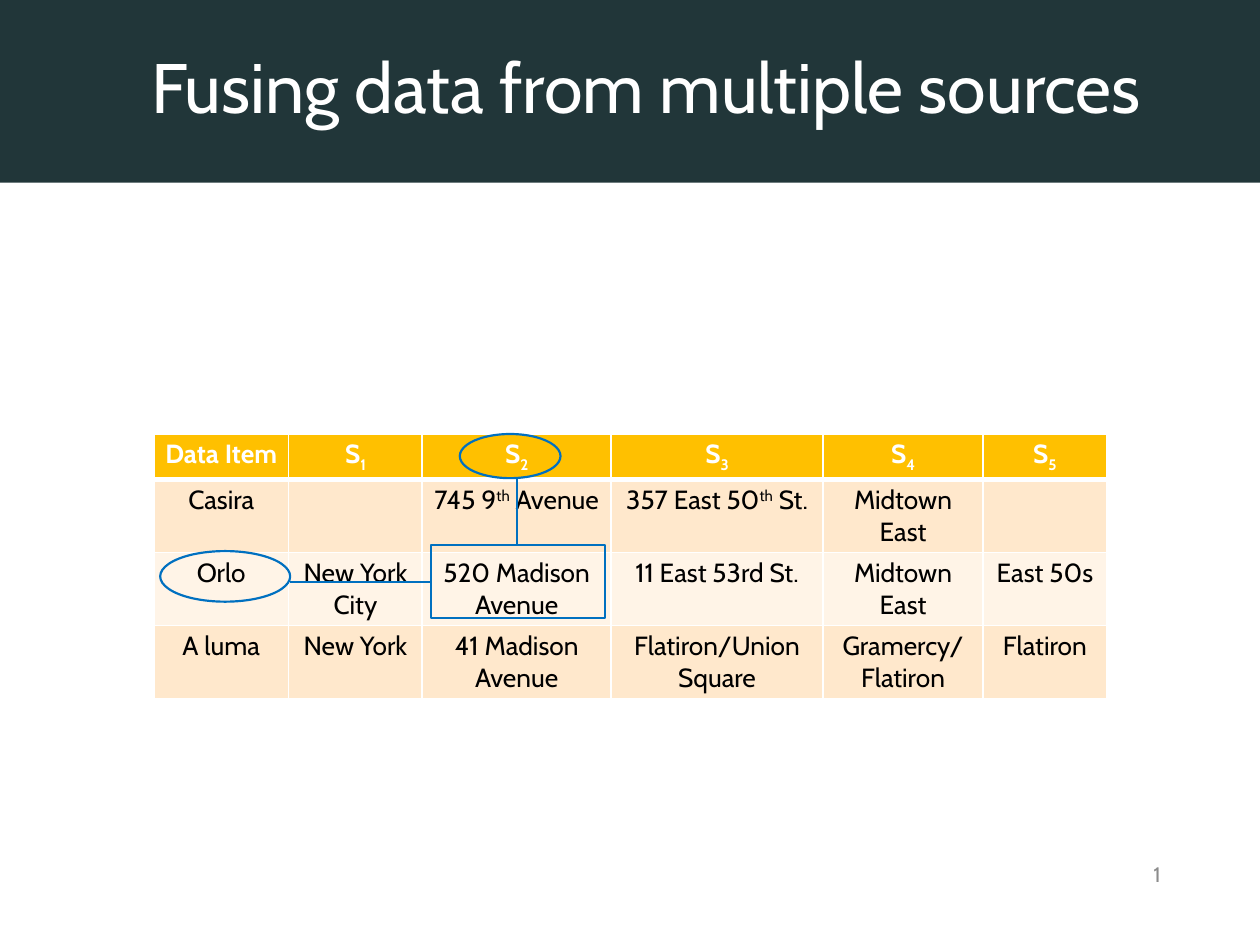
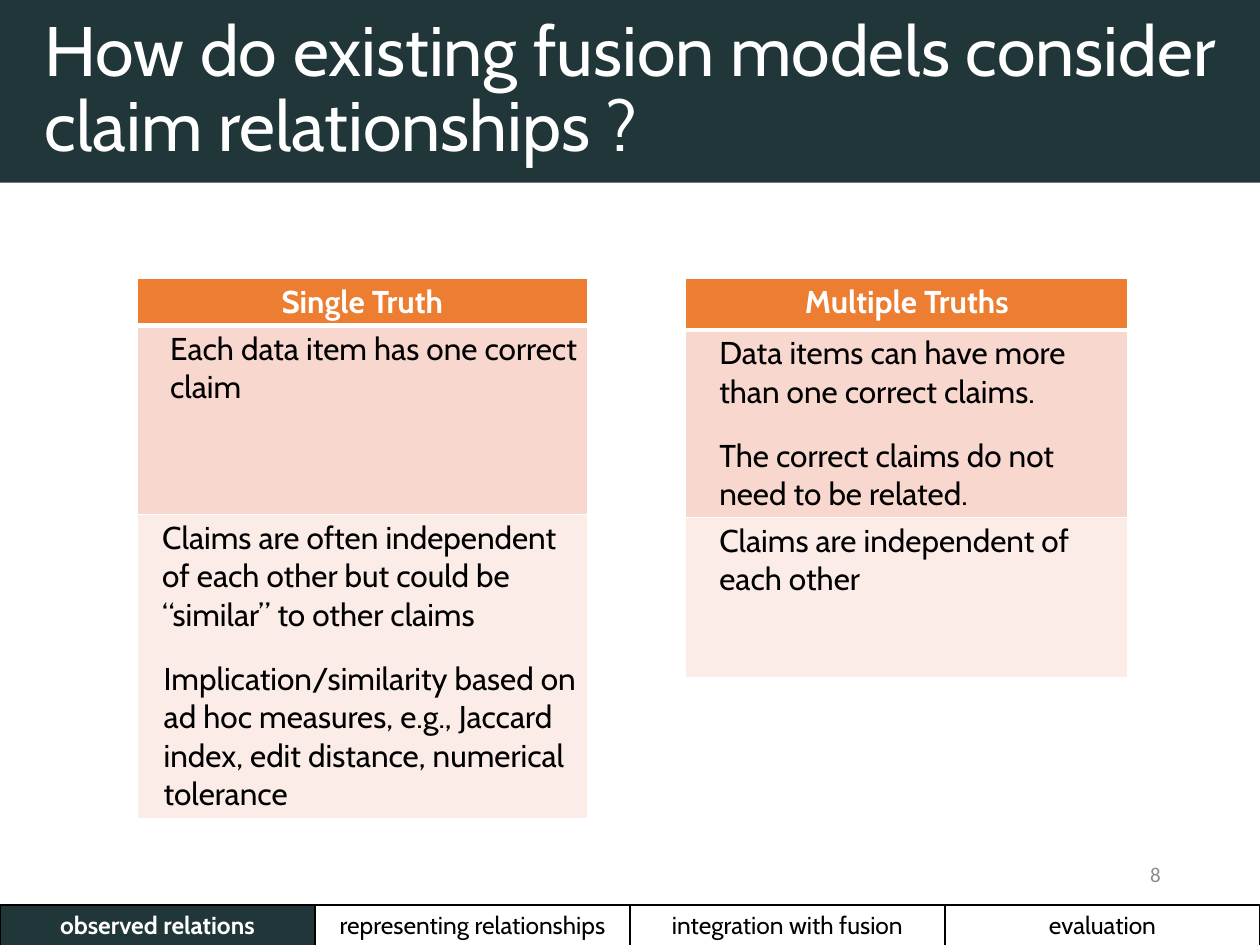
from dataclasses import dataclass

from lxml import etree
from pptx import Presentation
from pptx.dml.color import RGBColor
from pptx.enum import shapes, text
from pptx.oxml import ns
from pptx.util import Cm, Pt


@dataclass(frozen=True)
class Theme:
    font: str = "Cabin"
    plain_font: str = "Calibri"
    title_size: float = 40
    sources_size: float = 15
    models_size: float = 18
    footer_size: float = 14
    number_size: float = 12
    dark: str = "213639"
    white: str = "FFFFFF"
    black: str = "000000"
    grey: str = "8C8C8C"
    blue: str = "0070C0"
    gold: str = "FFC000"
    gold_bands: tuple = ("FFE8CC", "FFF4E7")
    orange: str = "ED7D31"
    orange_bands: tuple = ("F8D7CE", "FCECE8")


@dataclass(frozen=True)
class Box:
    left: float
    top: float
    width: float
    height: float

    def lengths(self):
        return Cm(self.left), Cm(self.top), Cm(self.width), Cm(self.height)

    def shifted(self, left, top):
        return Box(self.left + left, self.top + top, self.width, self.height)


@dataclass(frozen=True)
class Style:
    size: float
    color: str
    bold: bool = False
    font: str = "Cabin"
    align: text.PP_ALIGN = text.PP_ALIGN.CENTER


@dataclass(frozen=True)
class Passage:
    """A paragraph whose runs are strings or (string, baseline percent) pairs."""
    runs: tuple
    indent: float = 0
    before: float = 0


THEME = Theme()
LEFT, CENTER, RIGHT = text.PP_ALIGN.LEFT, text.PP_ALIGN.CENTER, text.PP_ALIGN.RIGHT
SLIDE = Box(0, 0, 25.4, 19.05)
TITLE = Box(0, 0, SLIDE.width, 3.68)
NUMBER = Box(17.93, 17.12, 5.72, 1.02)
FOOTER = Box(0, 18.24, SLIDE.width, 0.83)
PARAGRAPH_GAP = 14.6
SECTIONS = ("observed relations", "representing relationships",
            "integration with fusion", "evaluation")

SUBSCRIPT, SUPERSCRIPT = -25, 30
SOURCES_COLUMNS = (2.72, 2.69, 3.81, 4.27, 3.23, 2.49)
SOURCES_ROWS = (0.92, 1.47, 1.47, 1.47)
SOURCES = [
    ["Data Item"] + [Passage(("S", (str(n), SUBSCRIPT))) for n in range(1, 6)],
    ["Casira", "", Passage(("745 9", ("th", SUPERSCRIPT), " Avenue")),
     Passage(("357 East 50", ("th", SUPERSCRIPT), " St.")), "Midtown East", ""],
    ["Orlo", "New York City", "520 Madison Avenue", "11 East 53rd St.",
     "Midtown East", "East 50s"],
    ["A luma", "New York", "41 Madison Avenue", "Flatiron/Union Square",
     ["Gramercy/", "Flatiron"], "Flatiron"],
]
SINGLE_TRUTH = [
    ["Single Truth"],
    [Passage(("Each data item has one correct claim",), 0.48)],
    [[Passage(("Claims are often independent of each other but could be "
               "“similar” to other claims",), 0.32),
      Passage(("Implication/similarity based on ad hoc measures, e.g., Jaccard "
               "index, edit distance, numerical tolerance",), 0.35, PARAGRAPH_GAP)]],
]
MULTIPLE_TRUTHS = [
    ["Multiple Truths"],
    [[Passage(("Data items can have more than one correct claims.",), 0.5),
      Passage(("The correct claims do not need to be related.",), 0.5, PARAGRAPH_GAP)]],
    [Passage(("Claims are independent of each other",), 0.5)],
]


def rgb(color):
    return RGBColor.from_string(color)


def write(frame, content, style):
    """Fill a text frame from a string, a Passage or a list of these."""
    passages = content if isinstance(content, list) else [content]
    for index, passage in enumerate(passages):
        if isinstance(passage, str):
            passage = Passage((passage,) if passage else ())
        paragraph = frame.add_paragraph() if index else frame.paragraphs[0]
        paragraph.alignment = style.align
        if passage.before:
            paragraph.space_before = Pt(passage.before)
        if passage.indent:
            properties = paragraph._p.get_or_add_pPr()
            properties.set("marL", str(Cm(passage.indent)))
            properties.set("indent", "0")
        for part in passage.runs:
            words, baseline = part if isinstance(part, tuple) else (part, 0)
            run = paragraph.add_run()
            run.text = words
            run.font.name = style.font
            run.font.size = Pt(style.size)
            run.font.bold = style.bold
            run.font.color.rgb = rgb(style.color)
            if baseline:
                run.font._element.set("baseline", str(baseline * 1000))


def set_border(cell, side, color, width):
    line = etree.SubElement(cell._tc.get_or_add_tcPr(), ns.qn("a:ln" + side), w=str(Pt(width)))
    fill = etree.SubElement(line, ns.qn("a:solidFill"))
    etree.SubElement(fill, ns.qn("a:srgbClr"), val=color)


def fill_cell(cell, content, style, fill, border, top=1, bottom=1):
    for side, width in (("L", 1), ("R", 1), ("T", top), ("B", bottom)):
        set_border(cell, side, border, width)
    cell.fill.solid()
    cell.fill.fore_color.rgb = rgb(fill)
    write(cell.text_frame, content, style)


def add_grid(slide, left, top, columns, rows):
    box = Box(left, top, sum(columns), sum(rows))
    table = slide.shapes.add_table(len(rows), len(columns), *box.lengths()).table
    table.first_row = table.horz_banding = False
    for column, width in zip(table.columns, columns):
        column.width = Cm(width)
    for row, height in zip(table.rows, rows):
        row.height = Cm(height)
    return table


def add_banded_table(slide, left, top, columns, rows, content, size, head, bands, align):
    """Add a table with a bold header above rows in alternating tints."""
    table = add_grid(slide, left, top, columns, rows)
    header = Style(size, THEME.white, bold=True)
    body = Style(size, THEME.black, align=align)
    for r, values in enumerate(content):
        for c, value in enumerate(values):
            cell = table.cell(r, c)
            cell.margin_left = cell.margin_right = Cm(0.18)
            cell.margin_top = cell.margin_bottom = Cm(0.09)
            fill_cell(cell, value, body if r else header,
                      bands[(r - 1) % 2] if r else head, THEME.white,
                      top=3 if r == 1 else 1, bottom=1 if r else 3)


def add_title(slide, words, align):
    shape = slide.shapes.title
    shape.left, shape.top, shape.width, shape.height = TITLE.lengths()
    shape.fill.solid()
    shape.fill.fore_color.rgb = rgb(THEME.dark)
    frame = shape.text_frame
    frame.word_wrap = True
    frame.auto_size = text.MSO_AUTO_SIZE.NONE
    frame.vertical_anchor = text.MSO_ANCHOR.MIDDLE
    write(frame, Passage((words,), 0.64), Style(THEME.title_size, THEME.white, align=align))
    frame.paragraphs[0].line_spacing = 0.9


def add_page_number(slide, number, font):
    frame = slide.shapes.add_textbox(*NUMBER.lengths()).text_frame
    frame.word_wrap = True
    frame.vertical_anchor = text.MSO_ANCHOR.MIDDLE
    write(frame, str(number), Style(THEME.number_size, THEME.grey, font=font, align=RIGHT))


def add_section_footer(slide, current):
    width = FOOTER.width / len(SECTIONS)
    table = add_grid(slide, FOOTER.left, FOOTER.top, [width] * len(SECTIONS), [FOOTER.height])
    for index, section in enumerate(SECTIONS):
        active = section == current
        style = Style(THEME.footer_size, THEME.white if active else THEME.black, active)
        fill_cell(table.cell(0, index), section, style,
                  THEME.dark if active else THEME.white, THEME.black)


def add_outline(slide, kind, box, width):
    shape = slide.shapes.add_shape(kind, *box.lengths())
    shape.shadow.inherit = False
    shape.fill.background()
    shape.line.color.rgb = rgb(THEME.blue)
    shape.line.width = Pt(width)


def add_link(slide, start, end):
    points = [Cm(value) for value in (*start, *end)]
    link = slide.shapes.add_connector(shapes.MSO_CONNECTOR.STRAIGHT, *points)
    link.line.color.rgb = rgb(THEME.blue)
    link.line.width = Pt(1.25)
    etree.SubElement(link._element.spPr, ns.qn("a:effectLst"))


def add_claim_marks(slide, left, top):
    """Ring one source and one data item and tie both to their claim."""
    claim = Box(5.59, 2.24, 3.51, 1.47).shifted(left, top)
    source = Box(6.17, 0, 2.03, 0.89).shifted(left, top)
    item = Box(0.13, 2.36, 2.62, 1.02).shifted(left, top)
    add_outline(slide, shapes.MSO_SHAPE.RECTANGLE, claim, 1)
    for ring in (source, item):
        add_outline(slide, shapes.MSO_SHAPE.OVAL, ring, 1.25)
    middle = claim.top + claim.height / 2
    column_center = left + sum(SOURCES_COLUMNS[:2]) + SOURCES_COLUMNS[2] / 2
    add_link(slide, (claim.left, middle), (item.left + item.width, middle))
    add_link(slide, (column_center, source.top + source.height), (column_center, claim.top))


def add_slide(presentation, title, align, number, number_font):
    slide = presentation.slides.add_slide(presentation.slide_layouts[5])
    add_title(slide, title, align)
    add_page_number(slide, number, number_font)
    return slide


def build_sources_slide(presentation):
    slide = add_slide(presentation, "Fusing data from multiple sources", CENTER, 1, THEME.font)
    left, top = 3.1, 8.75
    add_banded_table(slide, left, top, SOURCES_COLUMNS, SOURCES_ROWS, SOURCES,
                     THEME.sources_size, THEME.gold, THEME.gold_bands, CENTER)
    add_claim_marks(slide, left, top)


def build_models_slide(presentation):
    slide = add_slide(presentation,
                      "How do existing fusion models consider claim relationships ?",
                      LEFT, 8, THEME.plain_font)
    for left, width, rows, content in (
            (2.77, 9.07, (0.95, 3.81, 6.13), SINGLE_TRUTH),
            (13.82, 8.92, (1.04, 3.78, 3.23), MULTIPLE_TRUTHS)):
        add_banded_table(slide, left, 5.61, (width,), rows, content,
                         THEME.models_size, THEME.orange, THEME.orange_bands, LEFT)
    add_section_footer(slide, SECTIONS[0])


def main():
    presentation = Presentation()
    presentation.slide_width, presentation.slide_height = Cm(SLIDE.width), Cm(SLIDE.height)
    build_sources_slide(presentation)
    build_models_slide(presentation)
    presentation.save("out.pptx")


if __name__ == "__main__":
    main()
